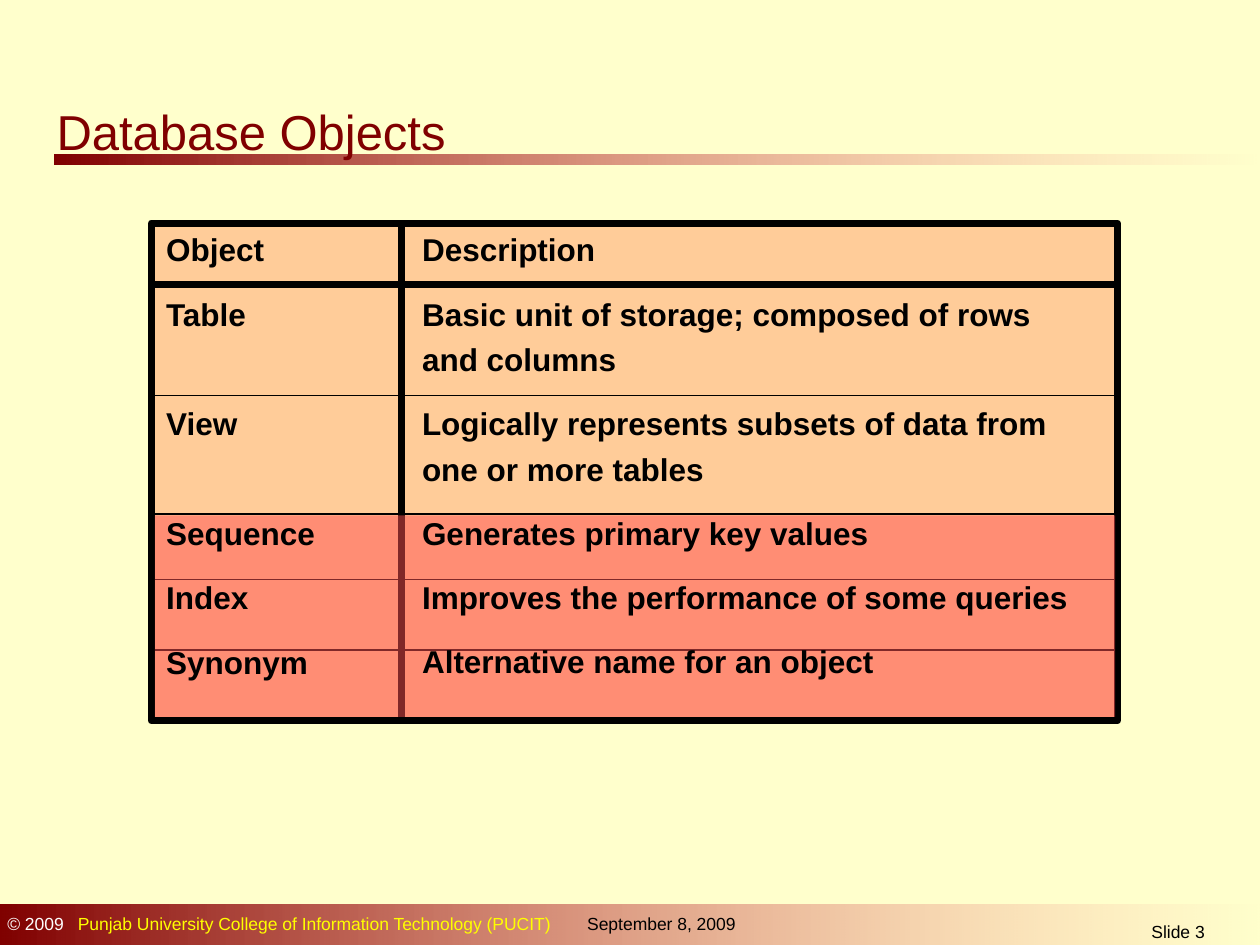
from dataclasses import dataclass

from lxml import etree
from pptx import Presentation
from pptx.dml.color import RGBColor
from pptx.enum import shapes, text
from pptx.oxml import ns
from pptx.util import Inches, Pt

CREAM = RGBColor(0xFF, 0xFF, 0xCC)
MAROON = RGBColor(0x80, 0x00, 0x00)
PINK = RGBColor(0xFF, 0x85, 0x85)
PEACH = RGBColor(0xFF, 0xCC, 0x99)
RED = RGBColor(0xFF, 0x50, 0x50)
BLACK = RGBColor(0, 0, 0)
WHITE = RGBColor(0xFF, 0xFF, 0xFF)
YELLOW = RGBColor(0xFF, 0xFF, 0x00)
FONT = "Arial"
LINE_PITCH = 26  # points taken by one line of the grid text


@dataclass
class Area:
    left: float
    top: float
    width: float
    height: float

    def lengths(self) -> list:
        return [Inches(v) for v in (self.left, self.top, self.width, self.height)]


@dataclass
class DatabaseObject:
    name: str
    description: list[str]


@dataclass
class Rule:
    left: float
    right: float
    y: float
    weight: float = 1


ROWS = [
    DatabaseObject("Object", ["Description"]),
    DatabaseObject("Table", ["Basic unit of storage; composed of rows", "and columns"]),
    DatabaseObject("View", ["Logically represents subsets of data from", "one or more tables"]),
    DatabaseObject("Sequence", ["Generates primary key values"]),
    DatabaseObject("Index", ["Improves the performance of some queries"]),
    DatabaseObject("Synonym", ["Alternative name for an object"]),
]
RULES = [
    Rule(1.22, 8.9, 3.14),
    Rule(1.22, 8.9, 4.08),
    Rule(1.23, 8.9, 4.6),
    Rule(1.22, 8.88, 5.16),
    Rule(1.23, 8.9, 2.26, 4),
]


def add_rect(page, area: Area):
    rect = page.shapes.add_shape(shapes.MSO_SHAPE.RECTANGLE, *area.lengths())
    rect.shadow.inherit = False
    rect.line.fill.background()
    return rect


def set_last_alpha(shape, percent: int) -> None:
    """Set the opacity of the last colour in the shape's fill."""
    color = list(shape.element.spPr.iter(ns.qn("a:srgbClr")))[-1]
    etree.SubElement(color, ns.qn("a:alpha")).set("val", str(percent * 1000))


def add_fading_bar(page, area: Area) -> None:
    bar = add_rect(page, area)
    bar.fill.gradient()
    bar.fill.gradient_angle = 0
    for stop, color in zip(bar.fill.gradient_stops, (MAROON, PINK)):
        stop.color.rgb = color
    set_last_alpha(bar, 0)


def add_panel(page, area: Area) -> None:
    panel = add_rect(page, area)
    panel.fill.solid()
    panel.fill.fore_color.rgb = PEACH
    panel.line.color.rgb = BLACK
    panel.line.width = Pt(4)


def add_rule(page, rule: Rule) -> None:
    line = page.shapes.add_connector(
        shapes.MSO_CONNECTOR.STRAIGHT,
        Inches(rule.left), Inches(rule.y), Inches(rule.right), Inches(rule.y))
    line.line.color.rgb = BLACK
    line.line.width = Pt(rule.weight)
    etree.SubElement(line.element.spPr, ns.qn("a:effectLst"))


def add_box(page, area: Area):
    box = page.shapes.add_textbox(*area.lengths())
    box.text_frame.word_wrap = True
    return box.text_frame


def add_span(para, words: str, size: float, color: RGBColor, bold: bool = False) -> None:
    span = para.add_run()
    span.text = words
    span.font.name = FONT
    span.font.size = Pt(size)
    span.font.color.rgb = color
    span.font.bold = bold


def add_tab_stop(para, position: float) -> None:
    tabs = etree.SubElement(para._p.get_or_add_pPr(), ns.qn("a:tabLst"))
    etree.SubElement(tabs, ns.qn("a:tab"), pos=str(Inches(position)), algn="l")


def add_column(page, area: Area, cells: list[list[str]], indent: float = 0) -> None:
    """Write one grid column, keeping each entry as tall as its row."""
    frame = add_box(page, area)
    frame.margin_left = Inches(0.1 + indent)
    for index, (lines, row) in enumerate(zip(cells, ROWS)):
        para = frame.add_paragraph() if index else frame.paragraphs[0]
        para.line_spacing = 1.2
        para.space_before = Pt(10.8 if index else 0)
        para.space_after = Pt((len(row.description) - len(lines)) * LINE_PITCH)
        for number, line in enumerate(lines):
            if number:
                para.add_line_break()
            add_span(para, line, 18, BLACK, bold=True)


def add_footer(page) -> None:
    add_fading_bar(page, Area(0, 7.18, 10.03, 0.35))
    owner = add_box(page, Area(-0.04, 7.2, 6.46, 0.27)).paragraphs[0]
    add_tab_stop(owner, 0.56)
    add_span(owner, "© 2009", 10, WHITE)
    add_span(owner, "\tPunjab University College of Information Technology (PUCIT)", 10, YELLOW)

    date = add_box(page, Area(4.29, 7.2, 1.81, 0.27))
    date.margin_left = Inches(0.37)
    add_span(date.paragraphs[0], "September 8, 2009", 10, BLACK)

    number = add_box(page, Area(8.31, 7.26, 2.08, 0.24)).paragraphs[0]
    number.alignment = text.PP_ALIGN.CENTER
    add_span(number, "Slide 3", 10, BLACK)


def add_object_grid(page) -> None:
    add_panel(page, Area(3.07, 1.77, 5.8, 3.95))
    add_panel(page, Area(1.2, 1.77, 1.99, 3.95))
    for rule in RULES:
        add_rule(page, rule)
    highlight = add_rect(page, Area(1.23, 4.09, 7.62, 1.6))
    highlight.fill.solid()
    highlight.fill.fore_color.rgb = RED
    set_last_alpha(highlight, 50)
    add_column(page, Area(3.13, 1.72, 5.86, 3.89), [row.description for row in ROWS], 0.12)
    add_column(page, Area(1.22, 1.72, 2.05, 3.89), [[row.name] for row in ROWS])


def main() -> None:
    deck = Presentation()
    deck.slide_width, deck.slide_height = Inches(10), Inches(7.5)
    page = deck.slides.add_slide(deck.slide_layouts[6])
    page.background.fill.solid()
    page.background.fill.fore_color.rgb = CREAM

    add_fading_bar(page, Area(0.43, 1.23, 9.57, 0.08))
    add_footer(page)
    title = add_box(page, Area(0.35, 0.76, 4.05, 0.51))
    add_span(title.paragraphs[0], "Database Objects", 28, MAROON)
    add_object_grid(page)
    deck.save("out.pptx")


if __name__ == "__main__":
    main()
